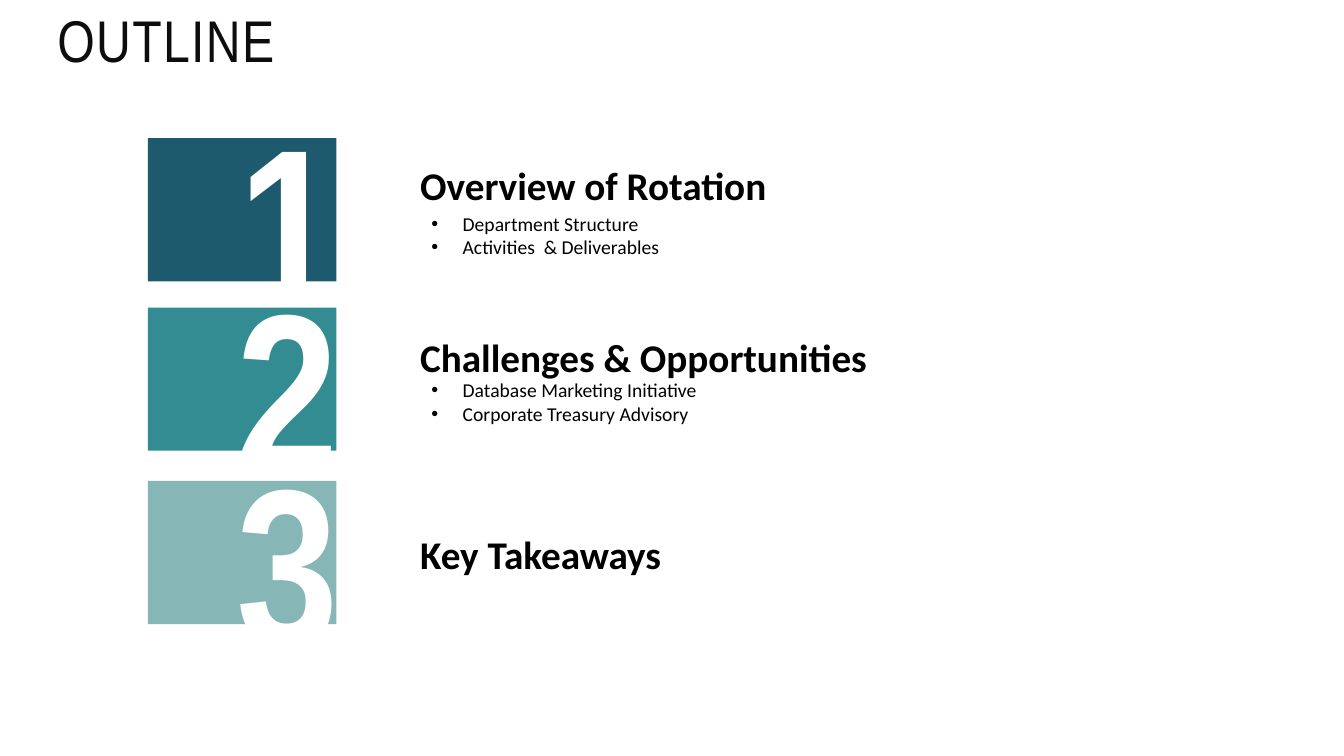
"""Build the outline slide with three numbered topics."""
import dataclasses

import pptx
import pptx.dml.color
import pptx.enum.shapes
import pptx.enum.text
import pptx.oxml
import pptx.oxml.ns
import pptx.util

Cm = pptx.util.Cm
Pt = pptx.util.Pt


@dataclasses.dataclass(frozen=True)
class Theme:
    """Hold the colours, fonts and type sizes."""
    white: str = "FFFFFF"
    black: str = "000000"
    ink: str = "0D0D0D"
    tiles: tuple = ("1E5A6E", "328C91", "86B6B5")
    narrow: str = "Arial Narrow"
    body: str = "Calibri"
    title: int = 42
    digit: int = 160
    head: int = 28
    point: int = 14


@dataclasses.dataclass(frozen=True)
class Topic:
    """Hold one topic, with its box places in centimetres."""
    tile: float
    digit: tuple
    head: tuple
    text: str
    list: tuple = ()
    points: tuple = ()


THEME = Theme()
TOPICS = (
    Topic(3.48, (5.77, 1.96, 2.69, 7.09), (10.34, 3.94, 9.35, 1.45),
          "Overview of Rotation", (10.62, 5.21, 6.32, 1.45),
          ("Department Structure", "Activities  & Deliverables")),
    Topic(7.75, (5.72, 6.12, 3.38, 7.09), (10.34, 8.28, 11.91, 1.45),
          "Challenges & Opportunities", (10.62, 9.4, 7.29, 1.45),
          ("Database Marketing Initiative", "Corporate Treasury Advisory")),
    Topic(12.12, (5.72, 10.52, 3.53, 7.09), (10.34, 13.23, 6.65, 1.45),
          "Key Takeaways"),
)


def colour(code):
    """Turn a hex code into a colour."""
    return pptx.dml.color.RGBColor.from_string(code)


def write(para, text, *, size, font=THEME.body, ink=THEME.black,
          bold=False, track=0):
    """Add formatted text to a paragraph."""
    run = para.add_run()
    run.text = text
    run.font.name = font
    run.font.size = Pt(size)
    run.font.bold = bold
    run.font.color.rgb = colour(ink)
    if track:
        run._r.get_or_add_rPr().set("spc", str(track * 100))


def bullet(para):
    """Give a paragraph a hanging bullet."""
    props = para._p.get_or_add_pPr()
    props.set("marL", str(Cm(0.79)))
    props.set("indent", str(-Cm(0.79)))
    space = pptx.oxml.ns.nsdecls("a")
    props.append(pptx.oxml.parse_xml(f'<a:buFont {space} typeface="Arial"/>'))
    props.append(pptx.oxml.parse_xml(f'<a:buChar {space} char="•"/>'))


def label(shapes, place, lines, dots=False, **style):
    """Add a text box that grows with its lines."""
    box = shapes.add_textbox(*map(Cm, place))
    frame = box.text_frame
    frame.word_wrap = False
    frame.auto_size = pptx.enum.text.MSO_AUTO_SIZE.SHAPE_TO_FIT_TEXT
    for row, line in enumerate(lines):
        para = frame.add_paragraph() if row else frame.paragraphs[0]
        if dots:
            bullet(para)
        write(para, line, **style)


def tile(shapes, top, fill):
    """Add a coloured tile behind a number."""
    kind = pptx.enum.shapes.MSO_SHAPE.RECTANGLE
    box = shapes.add_shape(kind, Cm(3.73), Cm(top), Cm(4.75), Cm(3.61))
    box.shadow.inherit = False
    box.fill.solid()
    box.fill.fore_color.rgb = colour(fill)
    box.line.fill.background()


def title(shape, text):
    """Place and format the slide title."""
    shape.left, shape.top = Cm(1.19), Cm(0)
    shape.width, shape.height = Cm(31.5), Cm(2.21)
    frame = shape.text_frame
    frame.vertical_anchor = pptx.enum.text.MSO_ANCHOR.MIDDLE
    frame.auto_size = pptx.enum.text.MSO_AUTO_SIZE.NONE
    para = frame.paragraphs[0]
    para.alignment = pptx.enum.text.PP_ALIGN.LEFT
    para.line_spacing = 0.9
    write(para, text, size=THEME.title, font=THEME.narrow, ink=THEME.ink,
          track=1)


def entry(shapes, topic):
    """Add a topic heading, grouped with its points if any."""
    if topic.points:
        shapes = shapes.add_group_shape().shapes
    label(shapes, topic.head, [topic.text], size=THEME.head, bold=True)
    if topic.points:
        label(shapes, topic.list, topic.points, dots=True, size=THEME.point)


def main():
    """Build and save the slide."""
    deck = pptx.Presentation()
    deck.slide_width, deck.slide_height = Cm(33.87), Cm(19.05)
    slide = deck.slides.add_slide(deck.slide_layouts.get_by_name("Title Only"))
    shapes = slide.shapes
    title(shapes.title, "OUTLINE")
    for topic, fill in zip(TOPICS, THEME.tiles):
        tile(shapes, topic.tile, fill)
    for count, topic in enumerate(TOPICS, 1):
        label(shapes, topic.digit, [str(count)], size=THEME.digit,
              font=THEME.narrow, ink=THEME.white, bold=True)
    for topic in TOPICS:
        entry(shapes, topic)
    deck.save("out.pptx")


if __name__ == "__main__":
    main()
